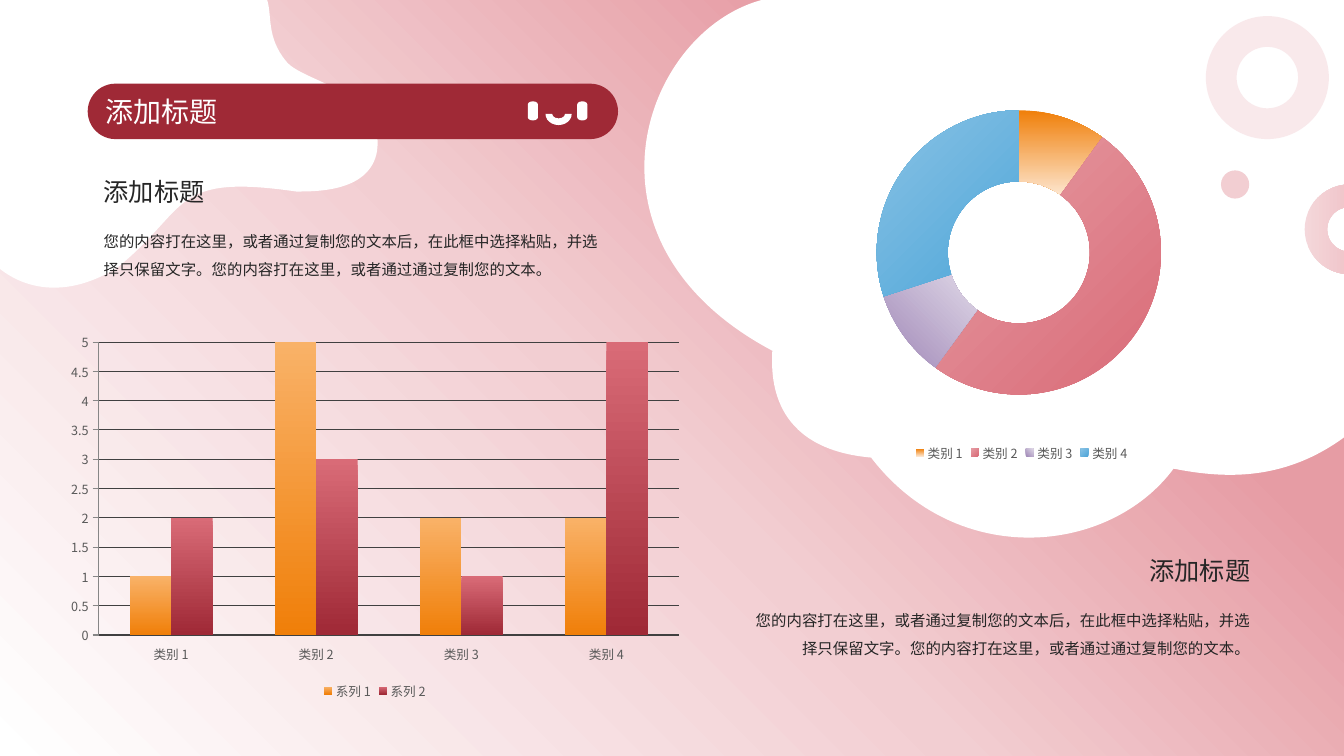
import copy

import lxml.etree
import pptx
import pptx.chart.data
import pptx.dml.color
import pptx.enum.chart
import pptx.enum.dml
import pptx.enum.shapes
import pptx.enum.text
import pptx.oxml.ns
import pptx.util

Inches = pptx.util.Inches
Pt = pptx.util.Pt
SHAPE = pptx.enum.shapes.MSO_SHAPE
ALIGN = pptx.enum.text.PP_ALIGN
CHART = pptx.enum.chart.XL_CHART_TYPE
qn = pptx.oxml.ns.qn
FONT = "Noto Sans CJK JP"
COLORS = {
    "white": "FFFFFF", "crimson": "9F2936", "rose": "D96B77", "pink": "E69CA4",
    "blush": "F2CED2", "orange": "F07F09", "apricot": "F9B268", "cream": "FDE5CD",
    "purple": "A088B7", "lilac": "DFD7E7", "blue": "4EA5D8", "sky": "89C3E5",
    "ink": "262626", "label": "595959", "grid": "404040", "axis": "868686",
}
HEADING = "添加标题"
BODY = ("您的内容打在这里，或者通过复制您的文本后，在此框中选择粘贴，并选择只保留文字。"
        "您的内容打在这里，或者通过通过复制您的文本。")
CATEGORIES = [f"类别 {n}" for n in range(1, 5)]
RIGHT_CLOUD = [
    (7.66, 3.48), (5.46, 2.31, 6.52, -0.02, 7.84, -0.04), (13.37, -0.01), (13.37, 4.31),
    (12.73, 4.8, 12.1, 4.74, 11.64, 4.65), (11.01, 5.5, 9.5, 5.66, 8.64, 4.54),
    (7.62, 4.45, 7.65, 3.71, 7.66, 3.48),
]
LEFT_CLOUD = [
    (-0.01, 0), (2.65, 0), (2.7, 0.15, 2.64, 0.37, 2.84, 0.61),
    (3.01, 0.82, 3.82, 0.9, 3.74, 1.5), (3.67, 1.9, 3.15, 1.9, 2.94, 1.9),
    (1.69, 1.72, 1.89, 2.06, 1.17, 2.65), (0.73, 2.93, 0.3, 2.91, -0.01, 2.66),
]


def rgb(name):
    """Return the named colour."""
    return pptx.dml.color.RGBColor.from_string(COLORS[name])


def solid(shape, color, opacity=None):
    """Fill a shape with one colour, without line or shadow."""
    shape.shadow.inherit = False
    shape.line.fill.background()
    shape.fill.solid()
    shape.fill.fore_color.rgb = rgb(color)
    if opacity:
        set_opacity(shape, opacity)


def set_opacity(shape, percent):
    """Make every colour of a shape's fill partly transparent."""
    for color in shape.element.spPr.iter(qn("a:srgbClr")):
        lxml.etree.SubElement(color, qn("a:alpha"), val=str(percent * 1000))


def blend(fill, stops, clockwise):
    """Give a two-stop linear gradient, or recolour the stops already there."""
    if fill.type != pptx.enum.dml.MSO_FILL.GRADIENT:
        fill.gradient()
    fill.gradient_angle = 360 - clockwise
    for stop, (position, color) in zip(fill.gradient_stops, stops):
        stop.position = position
        stop.color.rgb = rgb(color)


def add_run(paragraph, text, size, color):
    """Add one formatted run."""
    run = paragraph.add_run()
    run.text = text
    run.font.size = Pt(size)
    run.font.color.rgb = rgb(color)
    run.font.name = FONT
    lxml.etree.SubElement(run.font._element, qn("a:ea"), typeface=FONT)


def add_solid(slide, kind, box, color, rotation=0, adjustments=(), opacity=None):
    """Add a plain preset shape in the given box."""
    shape = slide.shapes.add_shape(kind, *map(Inches, box))
    solid(shape, color, opacity)
    shape.rotation = rotation
    for index, value in enumerate(adjustments):
        shape.adjustments[index] = value
    return shape


def add_cloud(slide, outline, left, top, width, height):
    """Draw a white cloud from straight and cubic segments inside its box."""
    right, bottom = left + width, top + height
    corners = [(left, top), (right, top), (right, bottom), (left, bottom)]
    corners = [tuple(map(Inches, corner)) for corner in corners]
    builder = slide.shapes.build_freeform(*corners[0])
    builder.add_line_segments(corners[1:])
    cloud = builder.convert_to_shape()
    contour = next(cloud.element.iter(qn("a:path")))
    for command in list(contour):
        contour.remove(command)
    for index, segment in enumerate(outline):
        tag = "a:cubicBezTo" if len(segment) == 6 else "a:lnTo" if index else "a:moveTo"
        command = lxml.etree.SubElement(contour, qn(tag))
        for x, y in zip(segment[::2], segment[1::2]):
            lxml.etree.SubElement(command, qn("a:pt"), x=str(int(Inches(x - left))),
                                  y=str(int(Inches(y - top))))
    lxml.etree.SubElement(contour, qn("a:close"))
    solid(cloud, "white")


def add_background(slide):
    """Paint the pink backdrop and its two clouds."""
    fill = slide.background.fill
    fill.gradient()
    stop_list = next(slide.element.iter(qn("a:gsLst")))
    for stop in list(stop_list):
        stop_list.append(copy.deepcopy(stop))
    blend(fill, [(0, "pink"), (0.26, "pink"), (0.54, "blush"), (1, "white")], 135)
    add_cloud(slide, RIGHT_CLOUD, 6.42, -0.04, 6.95, 5.37)
    add_cloud(slide, LEFT_CLOUD, -0.01, 0, 3.76, 2.85)


def add_title_bar(slide, left, top, width, height):
    """Place the title on its rounded bar with the smiling face."""
    bar = add_solid(slide, SHAPE.ROUNDED_RECTANGLE, (left, top, width, height), "crimson",
                    adjustments=[0.5])
    title = slide.shapes.title
    bar.element.addnext(title.element)
    title.left, title.top = Inches(left + 0.08), Inches(top)
    title.width, title.height = Inches(width - 1.2), Inches(height)
    frame = title.text_frame
    frame.auto_size = pptx.enum.text.MSO_AUTO_SIZE.NONE
    frame.vertical_anchor = pptx.enum.text.MSO_ANCHOR.MIDDLE
    frame.paragraphs[0].alignment = ALIGN.LEFT
    add_run(frame.paragraphs[0], HEADING, 20, "white")
    for eye in (4.32, 4.81):
        add_solid(slide, SHAPE.FLOWCHART_TERMINATOR, (left + eye, top + 0.22, 0.19, 0.1),
                  "white", 90)
    add_solid(slide, SHAPE.BLOCK_ARC, (left + 4.54, top + 0.19, 0.26, 0.22), "white", 180,
              [108, 0, 0.3])


def add_text_block(slide, left, top, width, alignment):
    """Place a heading above its paragraph."""
    parts = [(HEADING, 18, 0, 0.4, 1), (BODY, 11, 0.46, 0.65, 1.5)]
    for text, size, offset, height, spacing in parts:
        box = slide.shapes.add_textbox(*map(Inches, (left, top + offset, width, height)))
        box.text_frame.word_wrap = True
        paragraph = box.text_frame.paragraphs[0]
        paragraph.alignment = alignment
        paragraph.line_spacing = spacing
        add_run(paragraph, text, size, "ink")


def add_chart(slide, kind, box, series):
    """Add a chart with the shared font and bottom legend."""
    data = pptx.chart.data.CategoryChartData()
    data.categories = CATEGORIES
    for name, values in series:
        data.add_series(name, values)
    chart = slide.shapes.add_chart(kind, *map(Inches, box), data).chart
    chart.has_title = False
    chart.font.name = FONT
    chart.font.size = Pt(9)
    chart.font.color.rgb = rgb("label")
    chart.has_legend = True
    chart.legend.position = pptx.enum.chart.XL_LEGEND_POSITION.BOTTOM
    chart.legend.include_in_layout = False
    return chart


def add_columns(slide, *box):
    """Place the two-series column chart."""
    chart = add_chart(slide, CHART.COLUMN_CLUSTERED, box,
                      [("系列 1", (1, 5, 2, 2)), ("系列 2", (2, 3, 1, 5))])
    plot = chart.plots[0]
    plot.gap_width, plot.overlap, plot.vary_by_categories = 150, 0, False
    for series, (light, dark) in zip(plot.series, [("apricot", "orange"), ("rose", "crimson")]):
        blend(series.format.fill, [(0, light), (1, dark)], 90)
    chart.category_axis.format.line.fill.background()
    values = chart.value_axis
    values.minimum_scale, values.maximum_scale, values.major_unit = 0, 5, 0.5
    values.format.line.color.rgb = rgb("axis")
    values.major_gridlines.format.line.color.rgb = rgb("grid")
    values.major_gridlines.format.line.width = Pt(0.75)


def add_ring(slide, *box):
    """Place the doughnut chart, whose outer ring has no values."""
    chart = add_chart(slide, CHART.DOUGHNUT, box,
                      [("Series 1", (10, 50, 10, 30)), ("Series 2", (None,) * 4)])
    plot = chart.plots[0]
    plot.vary_by_categories = True
    slices = [("orange", "cream", 90), ("rose", "pink", 225),
              ("purple", "lilac", 315), ("blue", "sky", 225)]
    for index, (first, second, angle) in enumerate(slices):
        blend(plot.series[0].points[index].format.fill, [(0, first), (1, second)], angle)
    area = chart.element.find(".//" + qn("c:plotArea"))
    for old in area.findall(qn("c:layout")):
        area.remove(old)
    layout = lxml.etree.Element(qn("c:layout"))
    area.insert(0, layout)
    manual = lxml.etree.SubElement(layout, qn("c:manualLayout"))
    settings = [("layoutTarget", "inner"), ("xMode", "edge"), ("yMode", "edge"),
                ("x", "0.06"), ("y", "-0.12"), ("w", "0.87"), ("h", "1.12")]
    for tag, value in settings:
        lxml.etree.SubElement(manual, qn("c:" + tag), val=value)


def add_bubbles(slide, left, top):
    """Scatter the rings and the dot in the upper right corner."""
    add_solid(slide, SHAPE.DONUT, (left, top, 1.22, 1.22), "blush", opacity=43)
    half_ring = add_solid(slide, SHAPE.BLOCK_ARC, (left + 0.98, top + 1.67, 0.89, 0.89),
                          "blush", 270, [108, 0, 0.25])
    blend(half_ring.fill, [(0, "blush"), (1, "pink")], 90)
    set_opacity(half_ring, 80)
    add_solid(slide, SHAPE.OVAL, (left + 0.15, top + 1.53, 0.28, 0.28), "blush")


def main():
    """Build the slide and save it."""
    deck = pptx.Presentation()
    deck.slide_width, deck.slide_height = Inches(13.33), Inches(7.5)
    slide = deck.slides.add_slide(deck.slide_layouts[5])
    add_background(slide)
    add_columns(slide, 0.58, 3.23, 6.28, 3.75)
    add_title_bar(slide, 0.87, 0.83, 5.26, 0.55)
    add_text_block(slide, 0.93, 1.7, 5.2, ALIGN.LEFT)
    add_text_block(slide, 7.3, 5.46, 5.2, ALIGN.RIGHT)
    add_ring(slide, 7.18, 0.39, 5.91, 4.23)
    add_bubbles(slide, 11.96, 0.16)
    deck.save("out.pptx")


if __name__ == "__main__":
    main()
